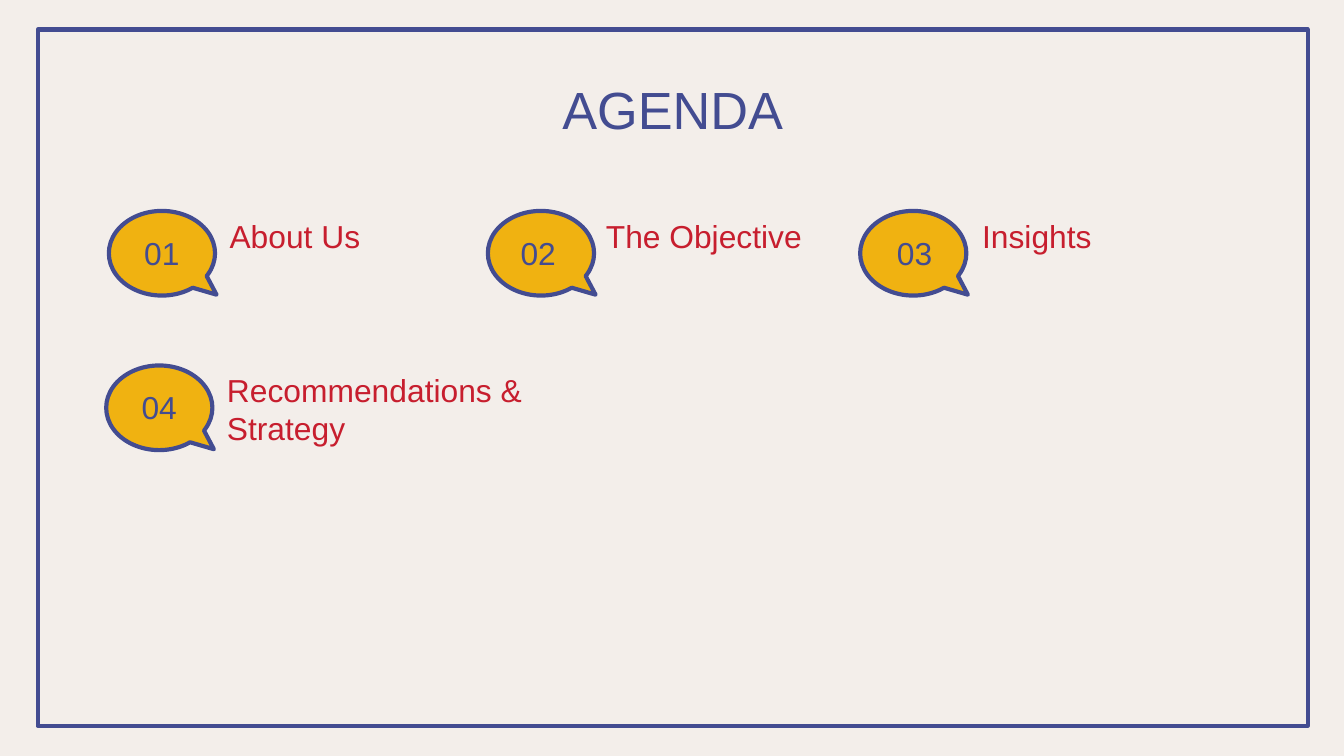
"""Build an agenda slide with numbered speech bubbles."""
from typing import NamedTuple

from pptx import Presentation
from pptx.dml.color import RGBColor
from pptx.enum.shapes import MSO_SHAPE as Preset
from pptx.enum.text import MSO_ANCHOR as Anchor, PP_ALIGN as Align
from pptx.shapes.autoshape import Shape
from pptx.slide import Slide
from pptx.util import Inches, Pt

COLORS = {"paper": "F3EEEA", "navy": "434C91", "gold": "F0B211", "red": "C71E2E"}
FONT = "Arial"


class Box(NamedTuple):
    left: float
    top: float
    width: float
    height: float


class AgendaItem(NamedTuple):
    label: str
    row_top: float
    bubble_left: float
    number_left: float
    label_width: float = 1.93
    label_height: float = 0.66


ITEMS = [
    AgendaItem("About Us", 1.51, 0.81, 0.86),
    AgendaItem("The Objective", 1.51, 3.63, 3.66),
    AgendaItem("Insights", 1.51, 6.4, 6.46),
    AgendaItem("Recommendations & Strategy", 2.66, 0.79, 0.84, 3.05, 1.18),
]


def color(name: str) -> RGBColor:
    return RGBColor.from_string(COLORS[name])


def add_outlined(slide: Slide, preset: Preset, box: Box, fill: str) -> Shape:
    shape = slide.shapes.add_shape(preset, *map(Inches, box))
    shape.shadow.inherit = False
    shape.fill.solid()
    shape.fill.fore_color.rgb = color(fill)
    shape.line.color.rgb = color("navy")
    shape.line.width = Pt(2.25)
    return shape


def add_text(slide: Slide, text: str, box: Box, ink: str, size: float = 17,
             centered: bool = True) -> None:
    frame = slide.shapes.add_textbox(*map(Inches, box)).text_frame
    frame.word_wrap = True
    frame.margin_left = frame.margin_right = Inches(0.1)
    frame.margin_top = frame.margin_bottom = Inches(0.1)
    frame.vertical_anchor = Anchor.MIDDLE if centered else Anchor.TOP
    paragraph = frame.paragraphs[0]
    paragraph.alignment = Align.CENTER if centered else Align.LEFT
    run = paragraph.add_run()
    run.text = text
    run.font.name = FONT
    run.font.size = Pt(size)
    run.font.color.rgb = color(ink)


def add_item(slide: Slide, number: int, item: AgendaItem) -> None:
    bubble = add_outlined(slide, Preset.OVAL_CALLOUT,
                          Box(item.bubble_left, item.row_top + 0.06, 0.79, 0.63), "gold")
    bubble.adjustments[0] = 0.514
    bubble.adjustments[1] = 0.489
    add_text(slide, item.label,
             Box(item.number_left + 0.75, item.row_top, item.label_width, item.label_height),
             "red", centered=False)
    add_text(slide, f"{number:02}",
             Box(item.number_left, item.row_top + 0.17, 0.69, 0.4), "navy")


def main() -> None:
    presentation = Presentation()
    presentation.slide_width = Inches(10)
    presentation.slide_height = Inches(10 * 9 / 16)
    slide = presentation.slides.add_slide(presentation.slide_layouts[6])
    slide.background.fill.solid()
    slide.background.fill.fore_color.rgb = color("paper")
    add_outlined(slide, Preset.RECTANGLE, Box(0.28, 0.22, 9.45, 5.18), "paper")
    for number, item in enumerate(ITEMS, start=1):
        add_item(slide, number, item)
    add_text(slide, "AGENDA", Box(0.79, 0.49, 8.43, 0.63), "navy", size=28)
    presentation.save("out.pptx")


if __name__ == "__main__":
    main()
